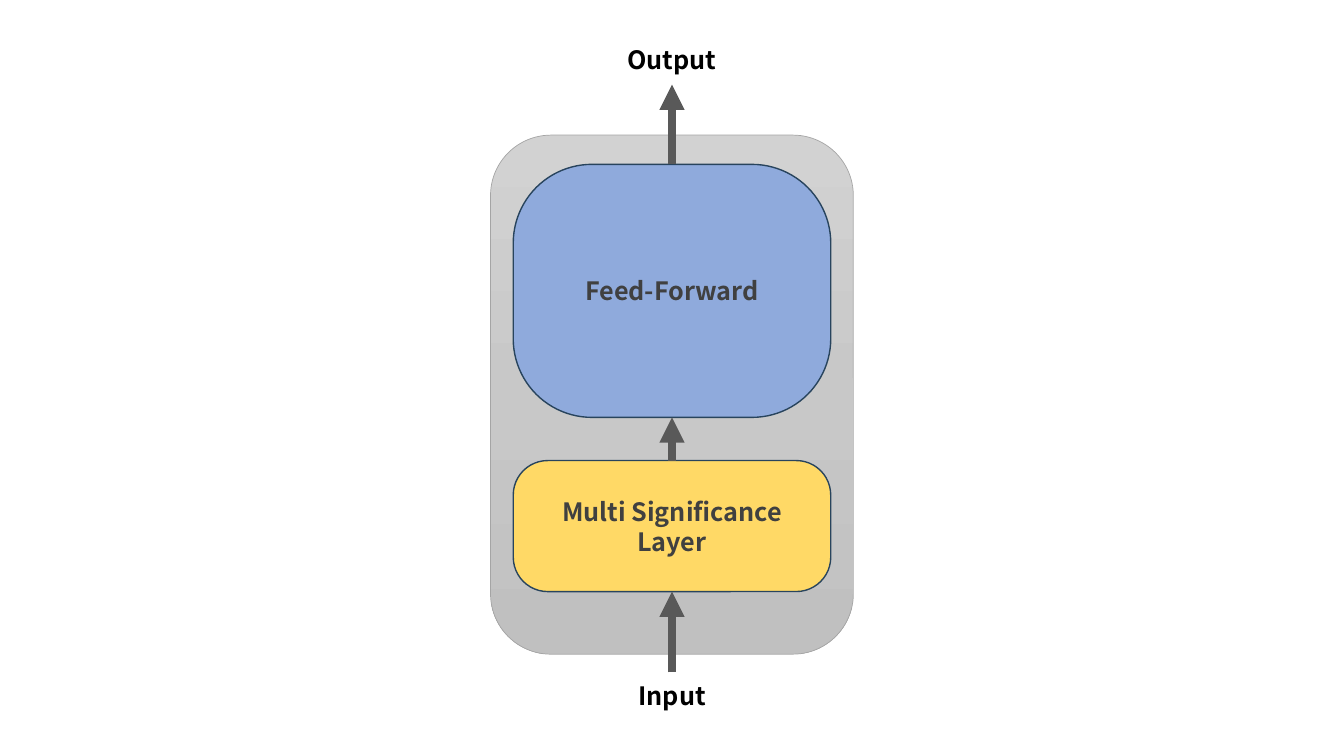
import copy
from dataclasses import dataclass
from typing import Optional

import pptx
import pptx.dml.color
import pptx.enum.dml
import pptx.enum.shapes
import pptx.enum.text
import pptx.oxml
import pptx.oxml.ns
import pptx.util
from pptx.shapes.autoshape import Shape
from pptx.shapes.shapetree import SlideShapes
from pptx.text.text import TextFrame

Pt = pptx.util.Pt
CENTER_X = 480
BOX_TOP, BOX_BOTTOM = 0, 2


@dataclass(frozen=True)
class Theme:
    font: str = "Noto Sans CJK SC"
    text_size: float = 18
    label_text: str = "000000"
    box_text: str = "404040"
    box_line: str = "28445D"
    significance: str = "FFD966"
    feed_forward: str = "8FAADC"
    arrow: str = "595959"
    arrow_width: float = 6
    panel_line: str = "A5A5A5"
    panel_stops: tuple[str, ...] = ("D2D2D2", "C8C8C8", "C0C0C0")


@dataclass(frozen=True)
class Box:
    text: str
    top: float
    height: float
    rounding: float
    fill: str
    width: float = 226.8


@dataclass(frozen=True)
class Label:
    text: str
    top: float
    width: float = 92.2
    height: float = 28.8


@dataclass(frozen=True)
class Arrow:
    start_y: float
    end_y: float
    source: Optional[Shape] = None
    target: Optional[Shape] = None


THEME = Theme()
SIGNIFICANCE = Box("Multi Significance Layer", 329, 93.6, 0.263, THEME.significance)
FEED_FORWARD = Box("Feed-Forward", 117.4, 180.7, 0.311, THEME.feed_forward)
LABELS = (Label("Output", 28.1), Label("Input", 482.4))


def rgb(value: str) -> pptx.dml.color.RGBColor:
    return pptx.dml.color.RGBColor.from_string(value)


def write_text(tf: TextFrame, text: str, color: str) -> None:
    tf.text = text
    tf.word_wrap = True
    p = tf.paragraphs[0]
    p.alignment = pptx.enum.text.PP_ALIGN.CENTER
    font = p.runs[0].font
    font.name, font.size, font.bold = THEME.font, Pt(THEME.text_size), True
    font.color.rgb = rgb(color)


def add_rounded(shapes: SlideShapes, top: float, width: float, height: float,
                line: str, line_width: float) -> Shape:
    """Add a rounded rectangle centred on the diagram axis."""
    sp = shapes.add_shape(pptx.enum.shapes.MSO_SHAPE.ROUNDED_RECTANGLE,
                          Pt(CENTER_X - width / 2), Pt(top), Pt(width), Pt(height))
    sp.shadow.inherit = False
    sp.line.color.rgb = rgb(line)
    sp.line.width = Pt(line_width)
    return sp


def add_panel(shapes: SlideShapes) -> None:
    sp = add_rounded(shapes, 96.5, 259.2, 370.8, THEME.panel_line, 0.5)
    sp.fill.gradient()
    sp.fill.gradient_angle = 270
    stop_list = sp._element.spPr.find(".//" + pptx.oxml.ns.qn("a:gsLst"))
    stop_list.insert(1, copy.deepcopy(stop_list[0]))
    last = len(THEME.panel_stops) - 1
    for i, (stop, color) in enumerate(zip(sp.fill.gradient_stops, THEME.panel_stops)):
        stop.position = i / last
        stop.color.rgb = rgb(color)


def add_box(shapes: SlideShapes, box: Box) -> Shape:
    sp = add_rounded(shapes, box.top, box.width, box.height, THEME.box_line, 1)
    sp.adjustments[0] = box.rounding
    sp.fill.solid()
    sp.fill.fore_color.rgb = rgb(box.fill)
    write_text(sp.text_frame, box.text, THEME.box_text)
    sp.text_frame.vertical_anchor = pptx.enum.text.MSO_ANCHOR.MIDDLE
    return sp


def add_label(shapes: SlideShapes, label: Label) -> None:
    sp = shapes.add_textbox(Pt(CENTER_X - label.width / 2), Pt(label.top),
                            Pt(label.width), Pt(label.height))
    write_text(sp.text_frame, label.text, THEME.label_text)
    sp.text_frame.auto_size = pptx.enum.text.MSO_AUTO_SIZE.SHAPE_TO_FIT_TEXT


def add_arrow(shapes: SlideShapes, arrow: Arrow) -> None:
    """Add an upward arrow, joined to the boxes it leaves or enters."""
    line = shapes.add_connector(pptx.enum.shapes.MSO_CONNECTOR.STRAIGHT,
                                Pt(CENTER_X), Pt(arrow.start_y),
                                Pt(CENTER_X), Pt(arrow.end_y))
    if arrow.source is not None:
        line.begin_connect(arrow.source, BOX_TOP)
    if arrow.target is not None:
        line.end_connect(arrow.target, BOX_BOTTOM)
    line.line.color.rgb = rgb(THEME.arrow)
    line.line.width = Pt(THEME.arrow_width)
    head = pptx.oxml.parse_xml(
        f'<a:tailEnd {pptx.oxml.ns.nsdecls("a")} type="triangle"/>')
    line.line._get_or_add_ln().append(head)
    line._element.spPr.append(
        pptx.oxml.parse_xml(f'<a:effectLst {pptx.oxml.ns.nsdecls("a")}/>'))


def main() -> None:
    prs = pptx.Presentation()
    prs.slide_width, prs.slide_height = Pt(960), Pt(540)
    shapes = prs.slides.add_slide(prs.slide_layouts[6]).shapes

    add_panel(shapes)
    significance = add_box(shapes, SIGNIFICANCE)
    feed_forward = add_box(shapes, FEED_FORWARD)
    significance_bottom = SIGNIFICANCE.top + SIGNIFICANCE.height
    feed_forward_bottom = FEED_FORWARD.top + FEED_FORWARD.height
    for arrow in (
        Arrow(480.2, significance_bottom, target=significance),
        Arrow(SIGNIFICANCE.top, feed_forward_bottom, significance, feed_forward),
        Arrow(FEED_FORWARD.top, 60.5, source=feed_forward),
    ):
        add_arrow(shapes, arrow)
    for label in LABELS:
        add_label(shapes, label)
    prs.save("out.pptx")


if __name__ == "__main__":
    main()
